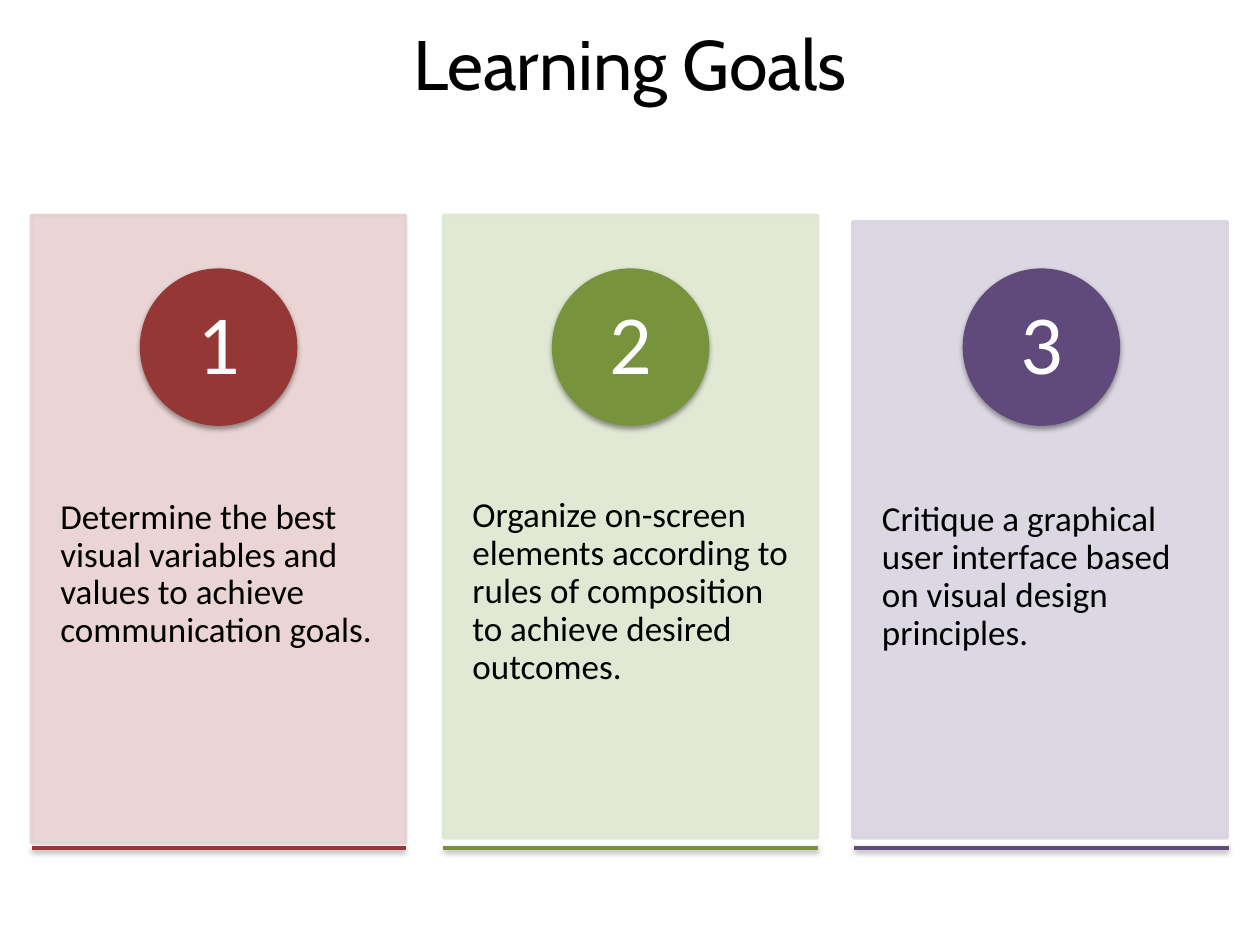
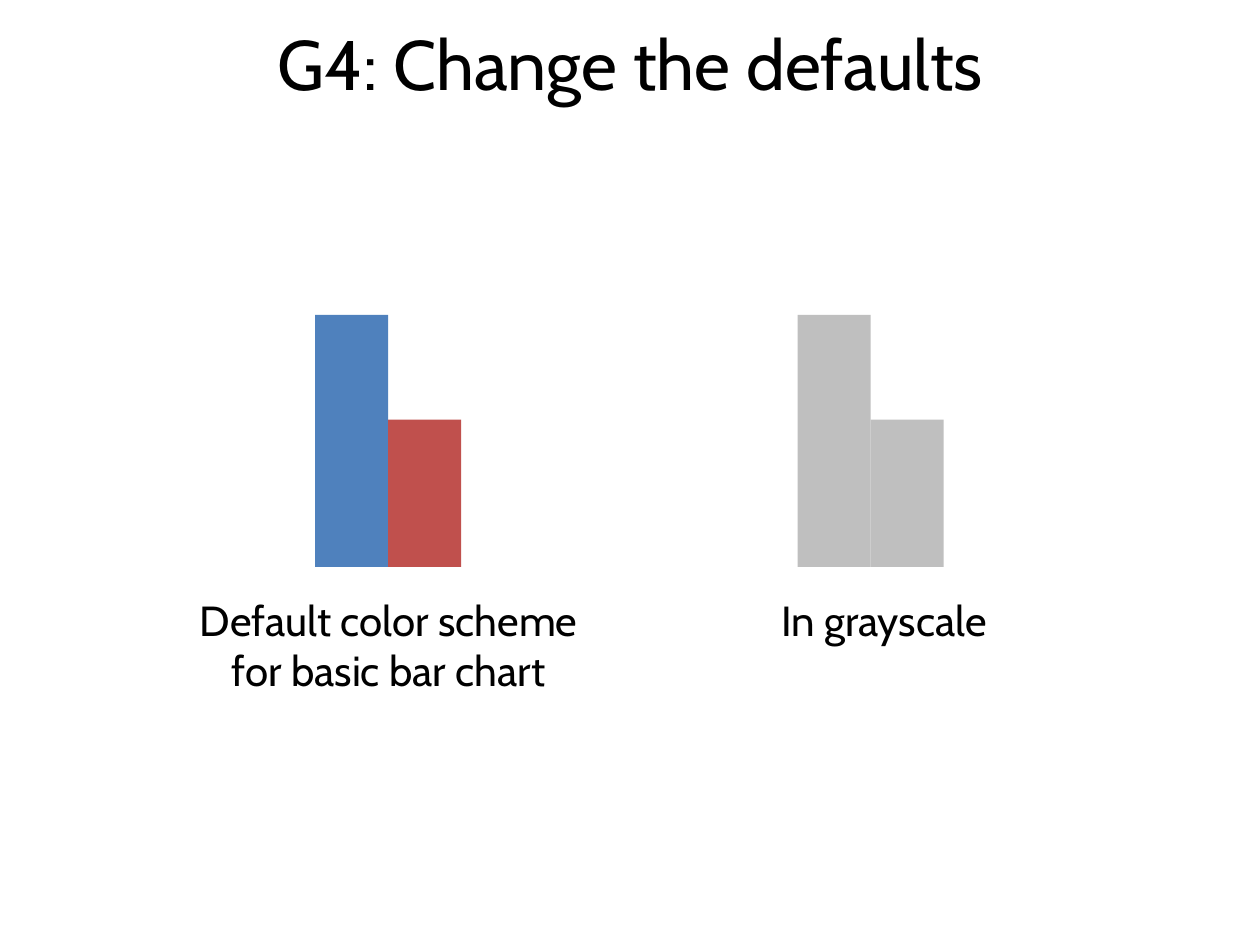
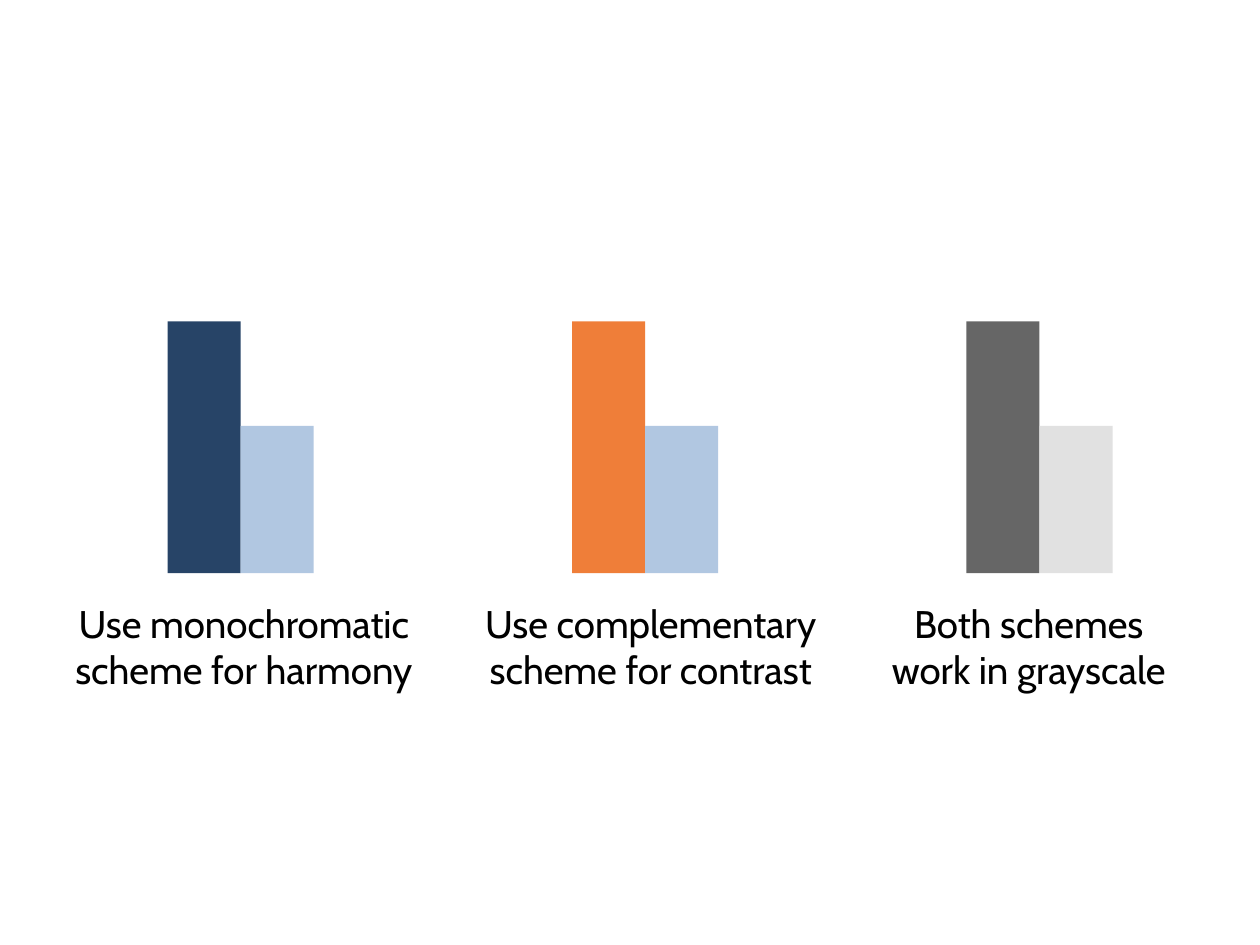
"""Build three slides on learning goals and chart colour schemes."""
from dataclasses import dataclass
from typing import Any

from lxml import etree
from pptx import Presentation, util as u
from pptx.dml import color
from pptx.enum import shapes, text
from pptx.oxml import ns


@dataclass(frozen=True)
class Theme:
    ink: str = "000000"
    white: str = "FFFFFF"
    heading_font: str = "Cabin"
    body_font: str = "Calibri"
    title_size: int = 40
    number_size: int = 48
    goal_size: int = 20
    outline: int = 2
    panel_alpha: int = 90
    shadow_alpha: int = 38


@dataclass(frozen=True)
class Goal:
    number: str
    wording: str
    left: float
    top: float
    bottom: float
    text_top: float
    rule_left: float
    tint: str
    accent: str


@dataclass(frozen=True)
class BarPair:
    caption: str
    bar_left: float
    caption_left: float
    caption_width: float
    tall: str
    short: str


THEME = Theme()
PANEL_WIDTH = 2.97
RULE_TOP = 6.73
CIRCLE_TOP, CIRCLE_SIZE, NUMBER_SIZE = 2.13, 1.25, 0.88
BAR_WIDTH, TALL_HEIGHT, SHORT_HEIGHT = 0.58, 2.0, 1.17

GOALS = (
    Goal("1", "Determine the best visual variables and values to achieve communication goals.",
         0.25, 1.71, 6.69, 3.6, 0.25, "E8D0D0", "953735"),
    Goal("2", "Organize on-screen elements according to rules of composition to achieve desired outcomes.",
         3.52, 1.71, 6.65, 3.59, 3.52, "DEE7D1", "77933C"),
    Goal("3", "Critique a graphical user interface based on visual design principles.",
         6.77, 1.76, 6.65, 3.62, 6.78, "D8D3E0", "604A7B"),
)
DEFAULT_PAIRS = (
    BarPair("Default color scheme for basic bar chart", 2.5, 1.42, 3.33, "4F81BD", "C0504D"),
    BarPair("In grayscale", 6.33, 5.35, 3.33, "BFBFBF", "BFBFBF"),
)
IMPROVED_PAIRS = (
    BarPair("Use monochromatic scheme for harmony", 1.33, 0.33, 3.21, "274467", "B1C7E1"),
    BarPair("Use complementary scheme for contrast", 4.54, 3.75, 2.83, "EF7E39", "B1C7E1"),
    BarPair("Both schemes work in grayscale", 7.67, 6.83, 2.67, "666666", "E1E1E1"),
)


def rgb(value: str) -> color.RGBColor:
    """Return the colour for a hexadecimal value."""
    return color.RGBColor.from_string(value)


def apply(target: Any, formats: dict[str, Any]) -> None:
    """Set each named attribute on the target."""
    for name, value in formats.items():
        setattr(target, name, value)


def box(left: float, top: float, width: float, height: float) -> tuple[int, ...]:
    """Convert a rectangle in inches to lengths."""
    return tuple(u.Inches(value) for value in (left, top, width, height))


def set_alpha(shape: Any, percent: int) -> None:
    """Make every solid colour of the shape partly transparent."""
    for node in shape.element.spPr.iter(ns.qn("a:srgbClr")):
        etree.SubElement(node, ns.qn("a:alpha"), val=str(percent * 1000))


def add_shadow(shape: Any) -> None:
    """Give the shape a soft shadow falling straight down."""
    properties = shape.element.spPr
    for old in properties.findall(ns.qn("a:effectLst")):
        properties.remove(old)
    effects = etree.SubElement(properties, ns.qn("a:effectLst"))
    shadow = etree.SubElement(effects, ns.qn("a:outerShdw"), blurRad="40000", dist="20000",
                              dir="5400000", rotWithShape="0")
    ink = etree.SubElement(shadow, ns.qn("a:srgbClr"), val=THEME.ink)
    etree.SubElement(ink, ns.qn("a:alpha"), val=str(THEME.shadow_alpha * 1000))


def write(frame: Any, wording: str, font: str, size: int, ink: str = THEME.ink,
          align: Any = text.PP_ALIGN.CENTER, spacing: float = 1.0) -> None:
    """Fill a text frame with one formatted paragraph."""
    frame.word_wrap = True
    paragraph = frame.paragraphs[0]
    apply(paragraph, {"alignment": align, "line_spacing": spacing})
    run = paragraph.add_run()
    run.text = wording
    apply(run.font, {"name": font, "size": u.Pt(size)})
    run.font.color.rgb = rgb(ink)


def add_filled(parent: Any, kind: Any, area: tuple[int, ...], fill: str) -> Any:
    """Add a flat shape with a solid fill and no line."""
    shape = parent.add_shape(kind, *area)
    shape.shadow.inherit = False
    shape.fill.solid()
    shape.fill.fore_color.rgb = rgb(fill)
    shape.line.fill.background()
    return shape


def add_text(parent: Any, area: tuple[int, ...], side: float, end: float, anchor: Any) -> Any:
    """Add a text box with the given insets and return its frame."""
    frame = parent.add_textbox(*area).text_frame
    apply(frame, {"margin_left": u.Inches(side), "margin_right": u.Inches(side),
                  "margin_top": u.Inches(end), "margin_bottom": u.Inches(end),
                  "vertical_anchor": anchor})
    return frame


def add_slide(presentation: Any, title: str = "") -> Any:
    """Add a slide, with a formatted title when one is given."""
    slide = presentation.slides.add_slide(presentation.slide_layouts[5 if title else 6])
    if title:
        placeholder = slide.shapes.title
        apply(placeholder, dict(zip(("left", "top", "width", "height"), box(0, 0, 10, 1))))
        placeholder.text_frame.vertical_anchor = text.MSO_ANCHOR.MIDDLE
        write(placeholder.text_frame, title, THEME.heading_font, THEME.title_size)
    return slide


def draw_goal(slide: Any, goal: Goal) -> None:
    """Draw a goal panel with its numbered circle and rule."""
    group = slide.shapes.add_group_shape().shapes
    panel = add_filled(group, shapes.MSO_SHAPE.RECTANGLE,
                       box(goal.left, goal.top, PANEL_WIDTH, goal.bottom - goal.top), goal.tint)
    panel.line.color.rgb = rgb(goal.tint)
    panel.line.width = u.Pt(THEME.outline)
    set_alpha(panel, THEME.panel_alpha)

    frame = add_text(group, box(goal.left, goal.text_top, PANEL_WIDTH, goal.bottom - 0.1 - goal.text_top),
                     0.23, 0.36, text.MSO_ANCHOR.TOP)
    write(frame, goal.wording, THEME.body_font, THEME.goal_size,
          align=text.PP_ALIGN.LEFT, spacing=0.9)

    circle_left = goal.rule_left + (PANEL_WIDTH - CIRCLE_SIZE) / 2
    circle = add_filled(group, shapes.MSO_SHAPE.OVAL,
                        box(circle_left, CIRCLE_TOP, CIRCLE_SIZE, CIRCLE_SIZE), goal.accent)
    add_shadow(circle)
    inset = (CIRCLE_SIZE - NUMBER_SIZE) / 2
    frame = add_text(group, box(circle_left + inset, CIRCLE_TOP + inset, NUMBER_SIZE, NUMBER_SIZE),
                     0.1, 0.01, text.MSO_ANCHOR.MIDDLE)
    write(frame, goal.number, THEME.body_font, THEME.number_size, THEME.white, spacing=0.9)

    rule = group.add_connector(shapes.MSO_CONNECTOR.STRAIGHT, u.Inches(goal.rule_left), u.Inches(RULE_TOP),
                               u.Inches(goal.rule_left + PANEL_WIDTH), u.Inches(RULE_TOP))
    rule.line.color.rgb = rgb(goal.accent)
    rule.line.width = u.Pt(THEME.outline)
    add_shadow(rule)


def draw_pair(slide: Any, pair: BarPair, top: float, caption_top: float,
              caption_height: float, size: int) -> None:
    """Draw two adjoining bars on one baseline with a caption below."""
    group = slide.shapes.add_group_shape().shapes
    bars = ((pair.tall, TALL_HEIGHT), (pair.short, SHORT_HEIGHT))
    for index, (fill, height) in enumerate(bars):
        add_filled(group, shapes.MSO_SHAPE.RECTANGLE,
                   box(pair.bar_left + index * BAR_WIDTH, top + TALL_HEIGHT - height, BAR_WIDTH, height),
                   fill)
    frame = add_text(slide.shapes, box(pair.caption_left, caption_top, pair.caption_width, caption_height),
                     0.1, 0.05, text.MSO_ANCHOR.TOP)
    write(frame, pair.caption, THEME.heading_font, size)


def main() -> None:
    """Build and save the presentation."""
    presentation = Presentation()
    apply(presentation, {"slide_width": u.Inches(10), "slide_height": u.Inches(7.5)})

    goals_slide = add_slide(presentation, "Learning Goals")
    for goal in GOALS:
        draw_goal(goals_slide, goal)

    defaults_slide = add_slide(presentation, "G4: Change the defaults")
    for pair in DEFAULT_PAIRS:
        draw_pair(defaults_slide, pair, top=2.5, caption_top=4.67, caption_height=0.83, size=24)

    improved_slide = add_slide(presentation)
    for pair in IMPROVED_PAIRS:
        draw_pair(improved_slide, pair, top=2.55, caption_top=4.71, caption_height=0.92, size=22)

    presentation.save("out.pptx")


if __name__ == "__main__":
    main()
